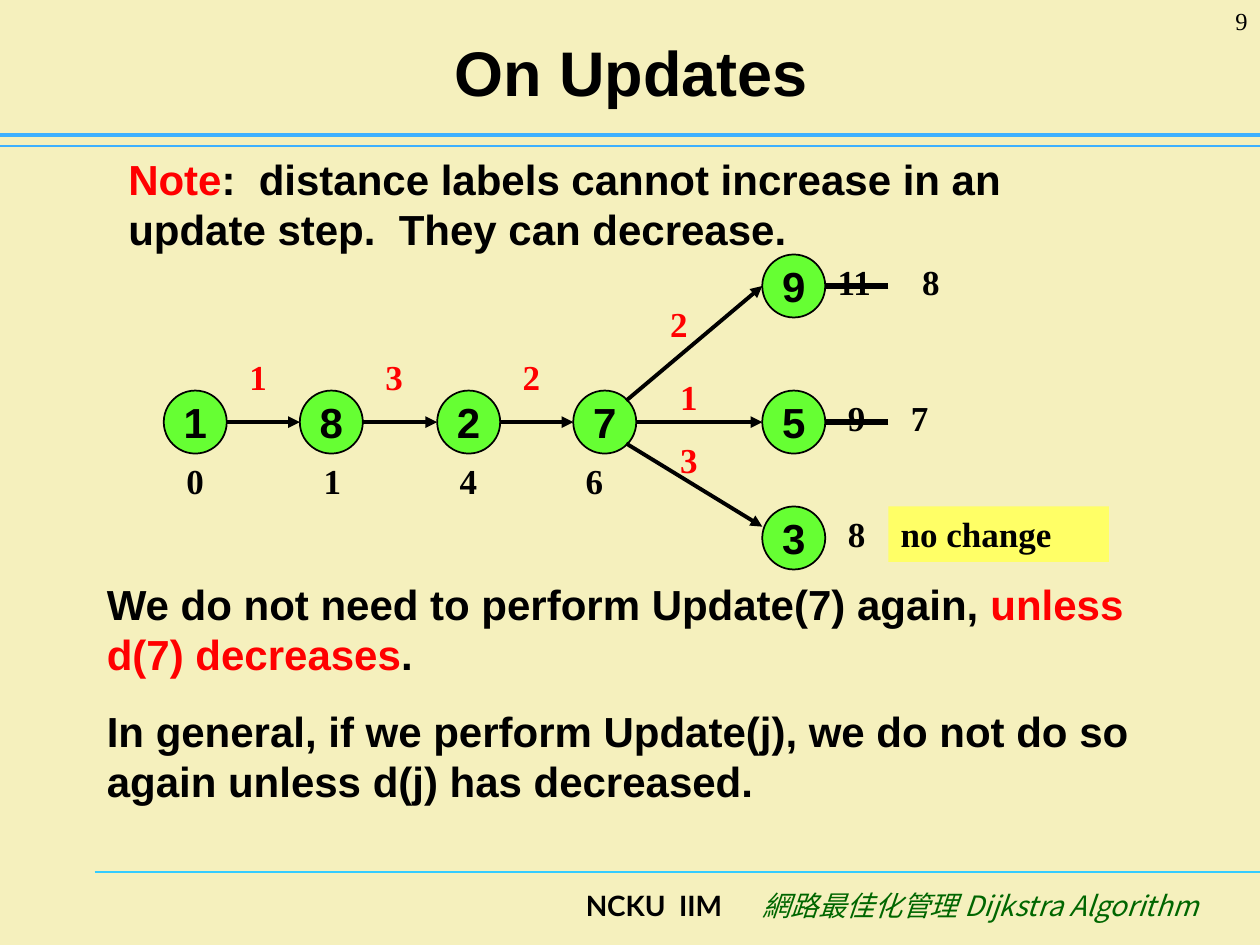
from dataclasses import dataclass

from lxml import etree
from pptx import Presentation
from pptx import util as u
from pptx.dml import color
from pptx.enum import shapes, text
from pptx.oxml import ns

PX = 9144
COLORS = {
    "paper": "F5F0BD", "black": "000000", "red": "FF0000", "green": "006600",
    "node": "66FF33", "note": "FFFF66", "blue": "3DB0FF", "sky": "33CCFF",
}
NODE_SIZE = 50
LABEL_HEIGHT = 44
ROW_Y = 310
CHAIN_X = [130, 238, 347, 455]
BRANCH_X = 605
BRANCH_Y = [202, 310, 402]


@dataclass
class Span:
    words: str
    ink: str = "black"


@dataclass
class Style:
    size: int
    font: str
    bold: bool = True
    italic: bool = False


@dataclass
class Label:
    words: str
    left: int
    top: int
    width: int = 42
    ink: str = "black"


@dataclass
class Line:
    x1: int
    y1: int
    x2: int
    y2: int
    weight: float = 2.25
    ink: str = "black"
    arrow: bool = False


HEADING = Style(36, "Arial")
PROSE = Style(24, "Arial")
NUMBER = Style(20, "Times New Roman")
SCHOOL = Style(16, "Lato")
COURSE = Style(16, "Noto Sans CJK SC", False, True)
PAGE_NUMBER = Style(14, "Times New Roman", False)


def rgb(ink: str) -> color.RGBColor:
    return color.RGBColor.from_string(COLORS[ink])


def place(shape, left: int, top: int, width: int, height: int) -> None:
    shape.left, shape.top, shape.width, shape.height = (
        u.Emu(n * PX) for n in (left, top, width, height))


def write(shape, paras: list[list[Span]], style: Style,
          align=text.PP_ALIGN.LEFT, anchor=text.MSO_ANCHOR.TOP,
          wrap: bool = True, gap: float = 0) -> None:
    frame = shape.text_frame
    frame.word_wrap = wrap
    frame.vertical_anchor = anchor
    for index, spans in enumerate(paras):
        para = frame.add_paragraph() if index else frame.paragraphs[0]
        para.alignment = align
        para.space_before = u.Pt(gap if index else 0)
        for item in spans:
            span = para.add_run()
            span.text = item.words
            span.font.name = style.font
            span.font.size = u.Pt(style.size)
            span.font.bold = style.bold
            span.font.italic = style.italic
            span.font.color.rgb = rgb(item.ink)
            east = etree.SubElement(span.font._element, ns.qn("a:ea"))
            east.set("typeface", style.font)
            span.font._element.find(ns.qn("a:latin")).addnext(east)


def add_box(page, left: int, top: int, width: int, height: int,
            paras: list[list[Span]], style: Style, **options) -> None:
    box = page.shapes.add_textbox(0, 0, 0, 0)
    place(box, left, top, width, height)
    write(box, paras, style, **options)


def add_label(page, label: Label) -> None:
    add_box(page, label.left, label.top, label.width, LABEL_HEIGHT,
            [[Span(label.words, label.ink)]], NUMBER)


def add_node(page, words: str, left: int, top: int) -> None:
    node = page.shapes.add_shape(shapes.MSO_SHAPE.OVAL, 0, 0, 0, 0)
    place(node, left, top, NODE_SIZE, NODE_SIZE)
    node.shadow.inherit = False
    node.fill.solid()
    node.fill.fore_color.rgb = rgb("node")
    node.line.color.rgb = rgb("black")
    node.line.width = u.Pt(1)
    write(node, [[Span(words)]], PROSE, align=text.PP_ALIGN.CENTER,
          anchor=text.MSO_ANCHOR.MIDDLE, wrap=False)


def add_line(page, line: Line) -> None:
    ends = (u.Emu(n * PX) for n in (line.x1, line.y1, line.x2, line.y2))
    link = page.shapes.add_connector(shapes.MSO_CONNECTOR.STRAIGHT, *ends)
    link.line.color.rgb = rgb(line.ink)
    link.line.width = u.Pt(line.weight)
    if line.arrow:
        tip = etree.SubElement(link.line._get_or_add_ln(), ns.qn("a:tailEnd"))
        tip.set("type", "triangle")
    etree.SubElement(link._element.spPr, ns.qn("a:effectLst"))


def add_frame(page) -> None:
    for line in (Line(75, 692, 1000, 692, 0.75, "sky"),
                 Line(0, 116, 1000, 116, 0.75, "blue"),
                 Line(0, 107, 1000, 107, 2.5, "blue")):
        add_line(page, line)
    right = text.PP_ALIGN.RIGHT
    add_box(page, 383, 700, 200, 50, [[Span("NCKU  IIM")]], SCHOOL, align=right)
    add_box(page, 561, 700, 400, 50,
            [[Span("網路最佳化管理 Dijkstra Algorithm", "green")]], COURSE, align=right)
    add_box(page, 917, 0, 83, 50, [[Span("9")]], PAGE_NUMBER, align=right)
    place(page.shapes.title, 51, 13, 900, 87)
    write(page.shapes.title, [[Span("On Updates")]], HEADING,
          align=text.PP_ALIGN.CENTER, anchor=text.MSO_ANCHOR.MIDDLE)


def add_prose(page) -> None:
    add_box(page, 92, 117, 783, 90, [[
        Span("Note", "red"),
        Span(":  distance labels cannot increase in an update step.  They can decrease."),
    ]], PROSE)
    add_box(page, 75, 454, 883, 191, [
        [Span("We do not need to perform Update(7) again, "),
         Span("unless d(7) decreases", "red"), Span(".")],
        [Span("In general, if we perform Update(j), we do not do so again "
              "unless d(j) has decreased.")],
    ], PROSE, gap=15)


def add_graph(page) -> None:
    middle = ROW_Y + NODE_SIZE // 2
    hub = CHAIN_X[-1]
    for words, left in zip("1827", CHAIN_X):
        add_node(page, words, left, ROW_Y)
    for words, left, after in zip("132", CHAIN_X, CHAIN_X[1:]):
        add_line(page, Line(left + NODE_SIZE, middle, after, middle, arrow=True))
        add_label(page, Label(words, left + 58, 277, ink="red"))
    for x, y, target in ((497, 318, 227), (hub + NODE_SIZE, middle, middle), (497, 352, 418)):
        add_line(page, Line(x, y, BRANCH_X, target, arrow=True))
    for words, top in zip("953", BRANCH_Y):
        add_node(page, words, BRANCH_X, top)
    for top in BRANCH_Y[:2]:
        strike = top + NODE_SIZE // 2
        add_line(page, Line(705, strike, BRANCH_X + NODE_SIZE, strike, 3))

    note = page.shapes.add_shape(shapes.MSO_SHAPE.RECTANGLE, 0, 0, 0, 0)
    place(note, 705, 402, 175, LABEL_HEIGHT)
    note.shadow.inherit = False
    note.fill.solid()
    note.fill.fore_color.rgb = rgb("note")
    note.line.fill.background()
    write(note, [[Span("no change")]], NUMBER)

    for label in (
        Label("0", 138, 360), Label("1", 247, 360),
        Label("4", 355, 360), Label("6", 455, 360),
        Label("2", 522, 235, ink="red"), Label("1", 530, 293, ink="red"),
        Label("3", 530, 343, ink="red"),
        Label("11", 655, 202, 58), Label("9", 663, 310), Label("8", 663, 402),
        Label("8", 722, 202), Label("7", 713, 310),
    ):
        add_label(page, label)


def main() -> None:
    deck = Presentation()
    deck.slide_width, deck.slide_height = u.Emu(1000 * PX), u.Emu(750 * PX)
    page = deck.slides.add_slide(deck.slide_layouts[5])
    page.background.fill.solid()
    page.background.fill.fore_color.rgb = rgb("paper")
    add_frame(page)
    add_prose(page)
    add_graph(page)
    deck.save("out.pptx")


if __name__ == "__main__":
    main()
